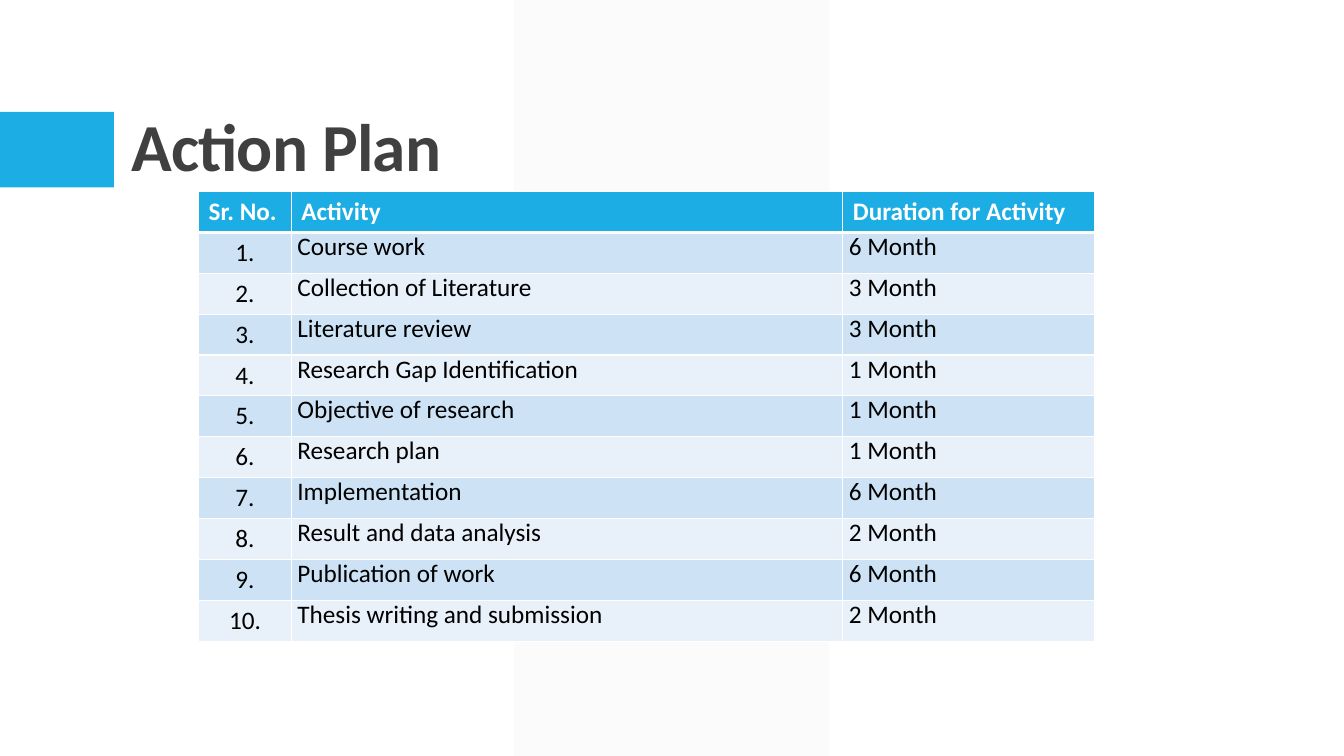
"""Build the Action Plan slide with its table of activities."""
from lxml import etree
from pptx import Presentation
from pptx.dml.color import RGBColor
from pptx.enum.shapes import MSO_SHAPE
from pptx.enum.text import MSO_ANCHOR, MSO_AUTO_SIZE, PP_ALIGN
from pptx.oxml.ns import qn
from pptx.util import Inches, Pt

RECT, SLANT = MSO_SHAPE.RECTANGLE, MSO_SHAPE.PARALLELOGRAM
BOTTOM, MIDDLE = MSO_ANCHOR.BOTTOM, MSO_ANCHOR.MIDDLE
LEFT, CENTER = PP_ALIGN.LEFT, PP_ALIGN.CENTER
FIXED = MSO_AUTO_SIZE.NONE
BLUE, WHITE, BLACK = "1CADE4", "FFFFFF", "000000"
BANDS = ["E8F1FA", "CDE3F5"]
WIDTHS = [0.92, 5.47, 2.5]
HEAD = ["Sr. No.", "Activity", "Duration for Activity"]
PLAN = [
    ("Course work", 6),
    ("Collection of Literature", 3),
    ("Literature review", 3),
    ("Research Gap Identification", 1),
    ("Objective of research", 1),
    ("Research plan", 1),
    ("Implementation", 6),
    ("Result and data analysis", 2),
    ("Publication of work", 6),
    ("Thesis writing and submission", 2),
]


def paint(fill, color):
    fill.solid()
    fill.fore_color.rgb = RGBColor.from_string(color)


def style(font, size, color, bold):
    font.name, font.size, font.bold = "Calibri", Pt(size), bold
    font.color.rgb = RGBColor.from_string(color)


deck = Presentation()
deck.slide_width, deck.slide_height = Inches(13.33), Inches(7.5)
slide = deck.slides.add_slide(deck.slide_layouts[5])
shapes = slide.shapes

band = shapes.add_shape(SLANT, Inches(5.1), 0, Inches(3.12), Inches(7.5))
band.adjustments[0] = 0
block = shapes.add_shape(RECT, 0, Inches(1.11), Inches(1.13), Inches(0.75))
for shape, color in [(band, "F2F2F2"), (block, BLUE)]:
    paint(shape.fill, color)
    shape.line.fill.background()
    shape.shadow.inherit = False
tint = band.fill._xPr.find(".//" + qn("a:srgbClr"))
etree.SubElement(tint, qn("a:alpha"), val="30000")

title = shapes.title
shapes._spTree.append(title._element)
title.left, title.top = Inches(1.2), Inches(0.31)
title.width, title.height = Inches(11), Inches(1.59)
frame = title.text_frame
frame.text = "Action Plan"
frame.auto_size, frame.vertical_anchor = FIXED, BOTTOM
para = frame.paragraphs[0]
para.alignment, para.line_spacing = LEFT, 0.9
style(para.font, 48, "404040", True)
para.runs[0].font._element.set("spc", "-50")

rows = [HEAD]
for num, (task, months) in enumerate(PLAN, 1):
    rows.append([f"{num}.", task, f"{months} Month"])
table = shapes.add_table(len(rows), len(HEAD), Inches(1.97), Inches(1.9),
                         Inches(sum(WIDTHS)), Inches(4.46)).table
for column, width in zip(table.columns, WIDTHS):
    column.width = Inches(width)

for r, row in enumerate(rows):
    for c, text in enumerate(row):
        cell = table.cell(r, c)
        cell.text = text
        para = cell.text_frame.paragraphs[0]
        style(para.font, 18, BLACK if r else WHITE, r == 0)
        if r and c == 0:
            para.alignment = CENTER
        elif r:
            para.line_spacing = Pt(13.4)
            cell.vertical_anchor = MIDDLE
            cell.margin_left = Inches(0.06)
            cell.margin_right = cell.margin_top = cell.margin_bottom = 0
        props = cell._tc.get_or_add_tcPr()
        for side in "LRTB":
            thick = (r, side) in [(0, "B"), (1, "T")]
            line = etree.SubElement(props, qn(f"a:ln{side}"),
                                    w=str(Pt(3 if thick else 1)))
            solid = etree.SubElement(line, qn("a:solidFill"))
            etree.SubElement(solid, qn("a:srgbClr"), val=WHITE)
        paint(cell.fill, BANDS[r % 2] if r else BLUE)

deck.save("out.pptx")
